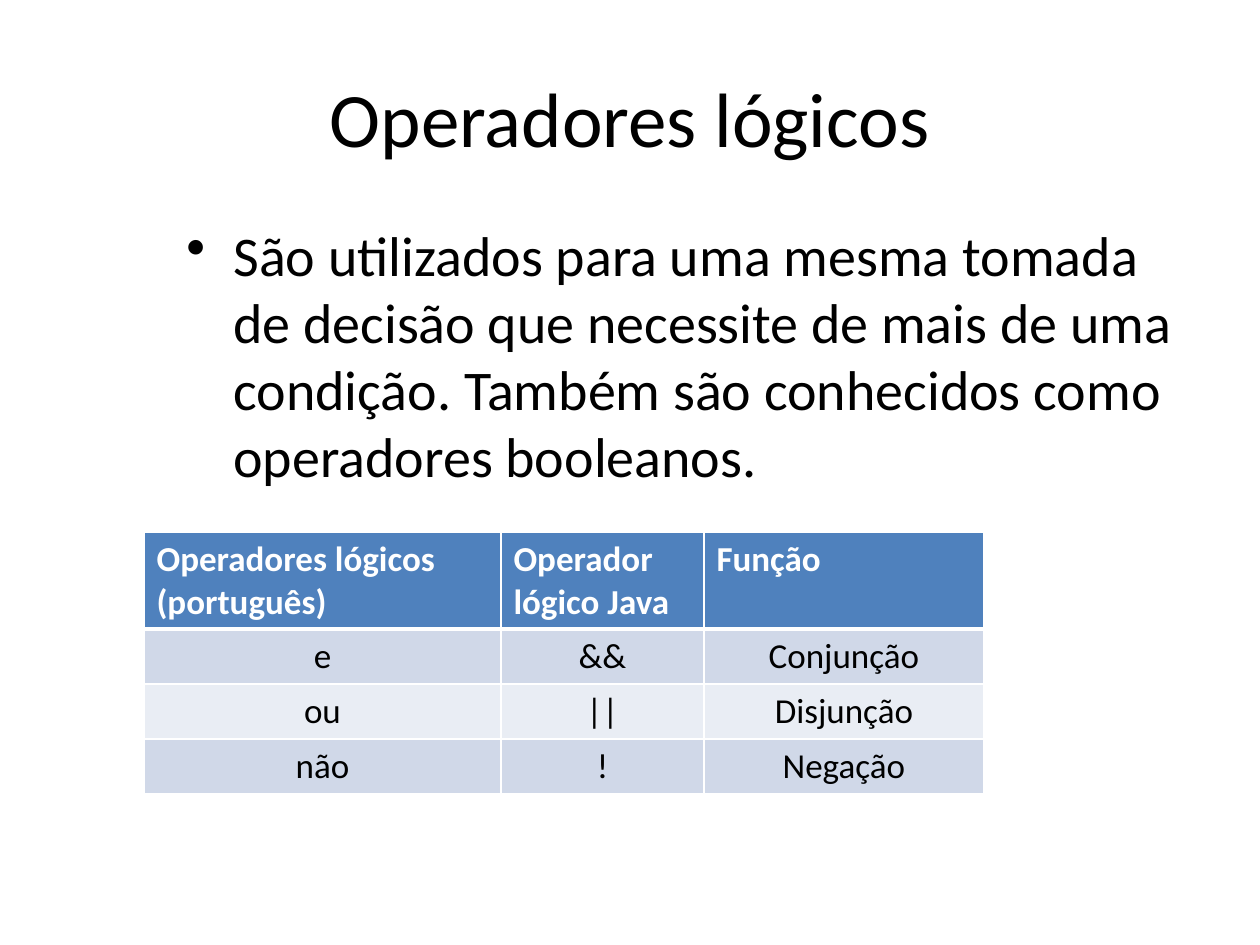
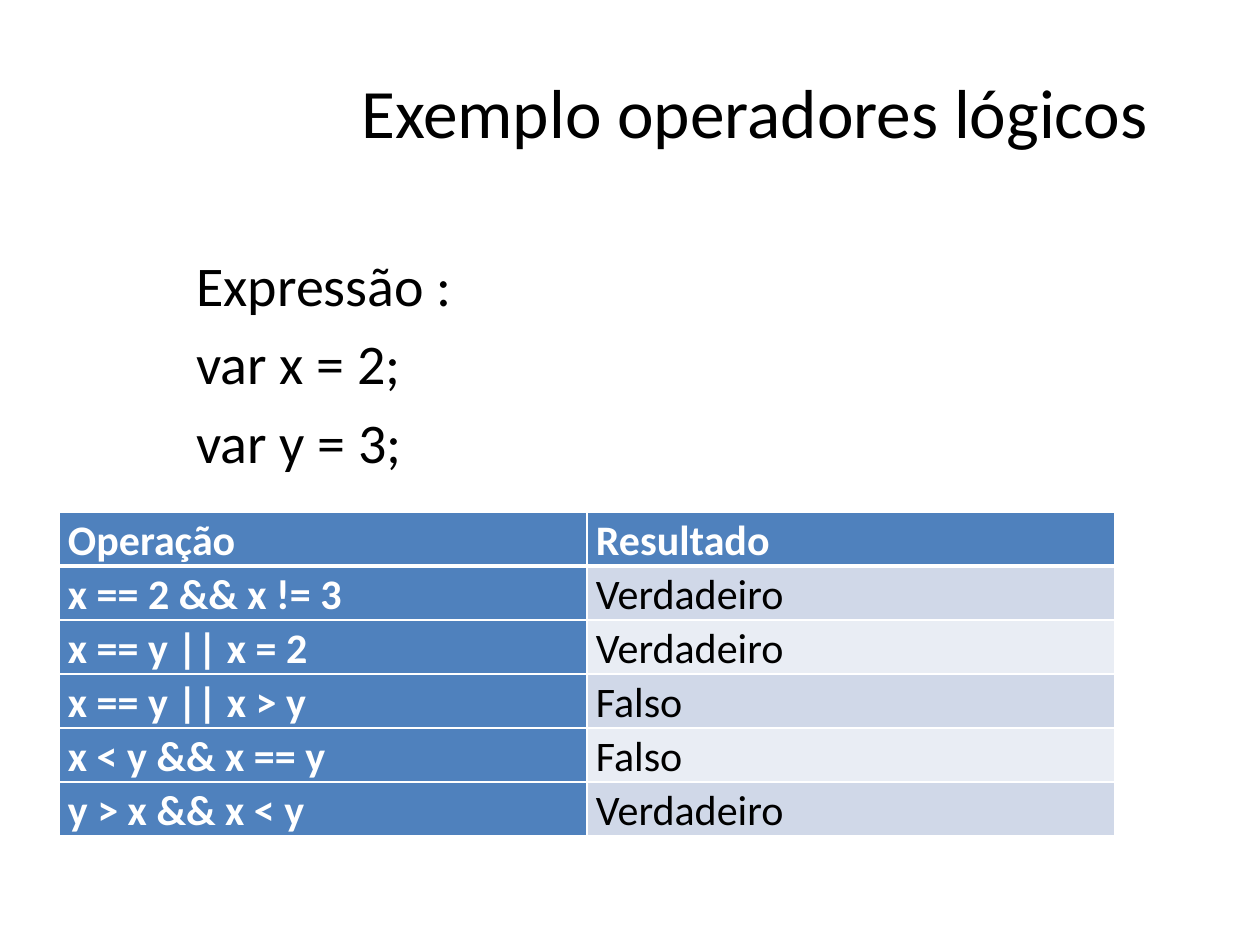
"""Builds two slides on logical operators, each with a title, a text and a table."""
import pptx
import pptx.util
import pptx.dml.color
import pptx.enum.text
import pptx.oxml
import pptx.oxml.ns

PIXEL = 914400 // 126
FONT = "Calibri"
BLACK, WHITE, BLUE = "000000", "FFFFFF", "4F81BD"
BANDS = ["D0D8E8", "E9EDF4"]
CENTER = pptx.enum.text.PP_ALIGN.CENTER
LEFT = pptx.enum.text.PP_ALIGN.LEFT


def color(value):
    return pptx.dml.color.RGBColor.from_string(value)


def style(para, size, value, bold=False, align=LEFT):
    para.alignment = align
    for span in para.runs:
        span.font.name = FONT
        span.font.size = pptx.util.Pt(size)
        span.font.bold = bold
        span.font.color.rgb = color(value)


slides = [
    {
        "title": "Operadores lógicos", "title_at": (63, 38, 1134, 157), "title_size": 44,
        "body": ["São utilizados para uma mesma tomada de decisão que necessite de mais de uma "
                 "condição.\u00a0Também são conhecidos como operadores booleanos."],
        "body_at": (174, 214, 1023, 630), "bullet": True,
        "table_at": (144, 532), "columns": [357, 203, 280], "heights": [97, 55, 55, 55],
        "size": 20, "align": CENTER, "first_column": False, "tight": False,
        "rows": [["Operadores lógicos (português)", "Operador lógico Java", "Função"],
                 ["e", "&&", "Conjunção"],
                 ["ou", "||", "Disjunção"],
                 ["não", "!", "Negação"]],
    },
    {
        "title": "Exemplo operadores lógicos", "title_at": (312, 26, 885, 169), "title_size": 39.6,
        "body": ["Expressão :", "var x = 2;", "var y = 3;"],
        "body_at": (184, 244, 1013, 600), "bullet": False,
        "table_at": (59, 512), "columns": [528, 528], "heights": [53] * 6,
        "size": 24, "align": LEFT, "first_column": True, "tight": True,
        "rows": [["Operação", "Resultado"],
                 ["x == 2 && x != 3", "Verdadeiro"],
                 ["x == y || x = 2", "Verdadeiro"],
                 ["x == y || x > y", "Falso"],
                 ["x < y && x == y", "Falso"],
                 ["y > x && x < y", "Verdadeiro"]],
    },
]

deck = pptx.Presentation()
deck.slide_width = 1260 * PIXEL
deck.slide_height = 945 * PIXEL

for content in slides:
    page = deck.slides.add_slide(deck.slide_layouts[5])

    title = page.shapes.title
    title.left, title.top, title.width, title.height = [n * PIXEL for n in content["title_at"]]
    title.text_frame.text = content["title"]
    title.text_frame.vertical_anchor = pptx.enum.text.MSO_ANCHOR.MIDDLE
    style(title.text_frame.paragraphs[0], content["title_size"], BLACK, align=CENTER)

    box = page.shapes.add_textbox(*[n * PIXEL for n in content["body_at"]])
    box.text_frame.word_wrap = True
    box.text_frame.text = "\n".join(content["body"])
    for para in box.text_frame.paragraphs:
        style(para, 32, BLACK)
        para.space_before = pptx.util.Pt(6.4)
        if content["bullet"]:
            properties = para._p.get_or_add_pPr()
            properties.set("marL", str(47 * PIXEL))
            properties.set("indent", str(-47 * PIXEL))
            bullet = pptx.oxml.parse_xml(
                f'<a:buChar {pptx.oxml.ns.nsdecls("a")} char="•"/>')
            properties.append(bullet)

    rows, columns, heights = content["rows"], content["columns"], content["heights"]
    left, top = content["table_at"]
    frame = page.shapes.add_table(len(rows), len(columns), left * PIXEL, top * PIXEL,
                                  sum(columns) * PIXEL, sum(heights) * PIXEL)
    table = frame.table
    table.first_col = content["first_column"]
    for column, width in zip(table.columns, columns):
        column.width = width * PIXEL
    for row, height in zip(table.rows, heights):
        row.height = height * PIXEL

    for r, texts in enumerate(rows):
        for c, text in enumerate(texts):
            cell = table.cell(r, c)
            heading = r == 0 or (c == 0 and content["first_column"])
            cell.text_frame.text = text
            para = cell.text_frame.paragraphs[0]
            style(para, content["size"], WHITE if heading else BLACK, heading,
                  LEFT if heading else content["align"])
            if content["tight"]:
                para.line_spacing = 1.07
                cell.margin_left = cell.margin_right = 9 * PIXEL
                cell.margin_top = cell.margin_bottom = 0
            thick = {"T": r == 1, "B": r == 0}
            for side in "LRTB":
                width = pptx.util.Pt(3 if thick.get(side) else 1)
                border = pptx.oxml.parse_xml(
                    f'<a:ln{side} {pptx.oxml.ns.nsdecls("a")} w="{width}"><a:solidFill>'
                    f'<a:srgbClr val="{WHITE}"/></a:solidFill></a:ln{side}>')
                cell._tc.get_or_add_tcPr().append(border)
            cell.fill.solid()
            cell.fill.fore_color.rgb = color(BLUE if heading else BANDS[(r - 1) % 2])

deck.save("out.pptx")
